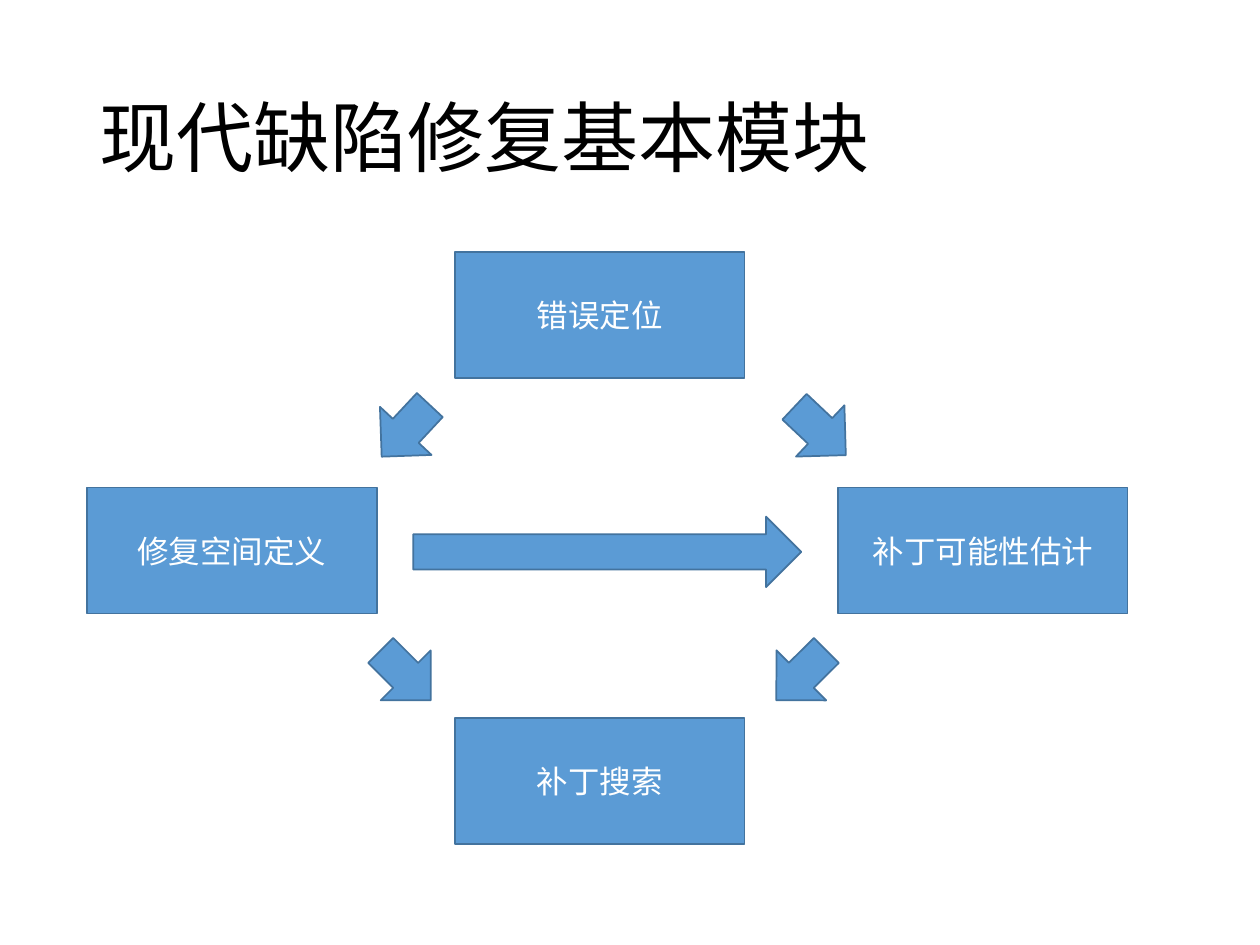
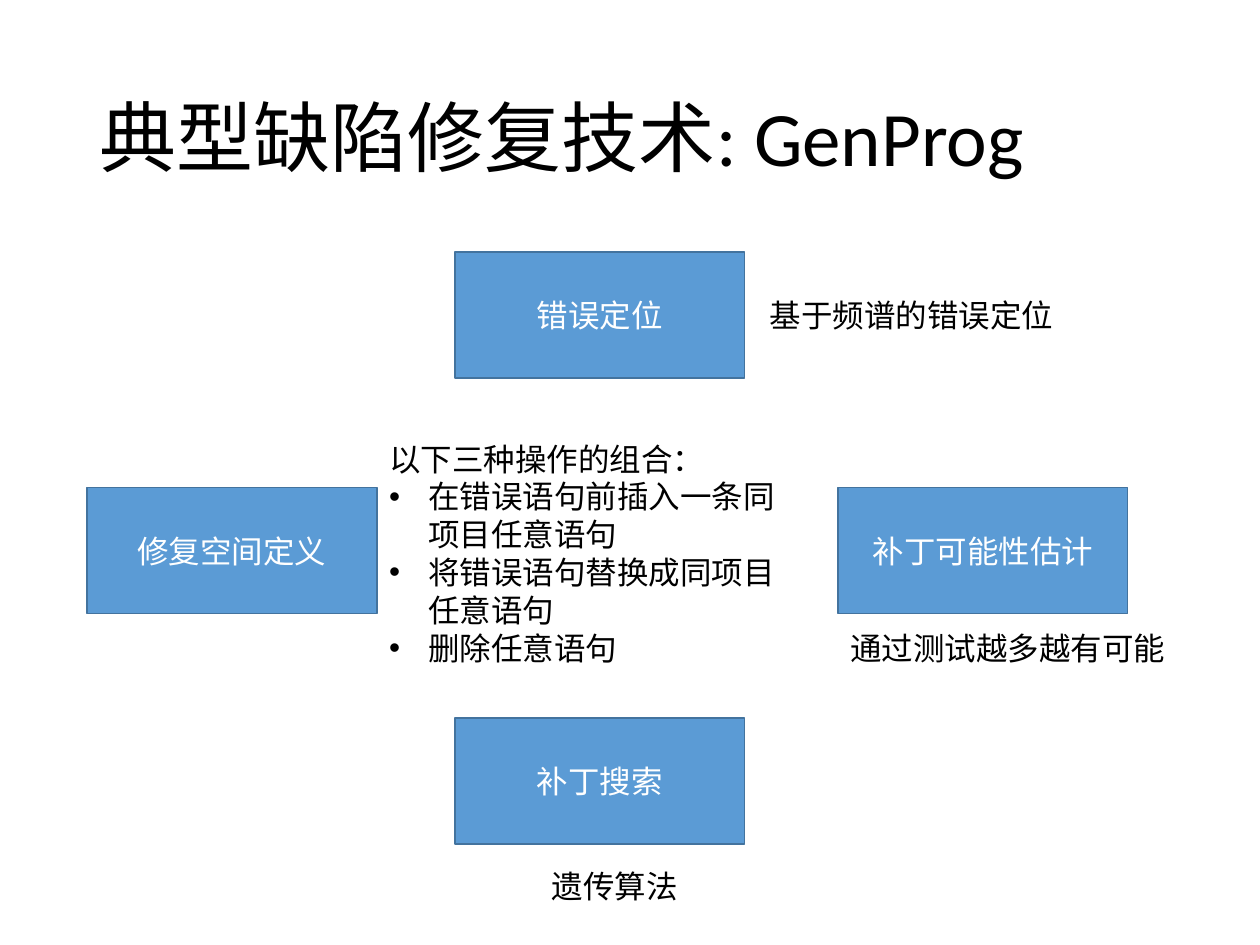
"""Build two slides on the modules of modern defect repair."""
import pptx
import pptx.dml.color
import pptx.enum.shapes
import pptx.enum.text
import pptx.oxml.ns
import pptx.util
from lxml import etree

Inches = pptx.util.Inches
Align = pptx.enum.text.PP_ALIGN
Anchor = pptx.enum.text.MSO_ANCHOR
Fit = pptx.enum.text.MSO_AUTO_SIZE
Kind = pptx.enum.shapes.MSO_SHAPE

FONT = "Calibri"
BLUE, EDGE, WHITE, BLACK = "5B9BD5", "43739E", "FFFFFF", "000000"
BOX_W, BOX_H = 2.3, 1
LEFT, MID, RIGHT = 0.69, 3.61, 6.65
TOP, ROW, LOW = 2, 3.87, 5.7
SIDE = 0.56
INDENT = 0.31

STEPS = [
    ("错误定位", MID, TOP),
    ("修复空间定义", LEFT, ROW),
    ("补丁可能性估计", RIGHT, ROW),
    ("补丁搜索", MID, LOW),
]
ARROWS = [
    (2.94, 3.14, SIDE, 43),
    (6.23, 3.14, SIDE, 313.3),
    (4.54, 2.84, 3.08, 270),
    (6.08, 5.08, SIDE, 45.2),
    (2.94, 5.08, SIDE, 315),
]
NOTES = [
    ("基于频谱的错误定位", 6.01, 2.3, 2.47),
    ("通过测试越多越有可能", RIGHT, 4.94, 2.73),
    ("遗传算法", 4.28, 6.83, 1.21),
]
EDITS = [
    "在错误语句前插入一条同项目任意语句",
    "将错误语句替换成同项目任意语句",
    "删除任意语句",
]


def color(code):
    return pptx.dml.color.RGBColor.from_string(code)


def write(para, text, size=18, tone=BLACK):
    run = para.add_run()
    run.text = text
    run.font.name = FONT
    run.font.size = pptx.util.Pt(size)
    run.font.color.rgb = color(tone)


def add_slide(deck, text):
    slide = deck.slides.add_slide(deck.slide_layouts[5])
    title = slide.shapes.title
    title.left, title.top = Inches(LEFT), Inches(0.4)
    title.width, title.height = Inches(7.55), Inches(1.45)
    frame = title.text_frame
    frame.auto_size = Fit.NONE
    frame.word_wrap = True
    frame.vertical_anchor = Anchor.MIDDLE
    para = frame.paragraphs[0]
    para.alignment = Align.LEFT
    para.line_spacing = 0.9
    write(para, text, 44)
    return slide


def add_solid(slide, kind, x, y, w, h):
    shape = slide.shapes.add_shape(kind, Inches(x), Inches(y), Inches(w), Inches(h))
    shape.shadow.inherit = False
    shape.fill.solid()
    shape.fill.fore_color.rgb = color(BLUE)
    shape.line.color.rgb = color(EDGE)
    shape.line.width = pptx.util.Pt(1)
    return shape


def add_steps(slide):
    for text, x, y in STEPS:
        frame = add_solid(slide, Kind.RECTANGLE, x, y, BOX_W, BOX_H).text_frame
        frame.word_wrap = True
        frame.vertical_anchor = Anchor.MIDDLE
        para = frame.paragraphs[0]
        para.alignment = Align.CENTER
        write(para, text, tone=WHITE)


def add_arrow(slide, x, y, length, turn):
    arrow = add_solid(slide, Kind.DOWN_ARROW, x, y, SIDE, length)
    arrow.rotation = turn


def add_note(slide, text, x, y, w, h=0.4, wrap=False):
    box = slide.shapes.add_textbox(Inches(x), Inches(y), Inches(w), Inches(h))
    frame = box.text_frame
    frame.word_wrap = wrap
    frame.auto_size = Fit.SHAPE_TO_FIT_TEXT
    write(frame.paragraphs[0], text)
    return frame


def add_bullet(frame, text):
    para = frame.add_paragraph()
    props = para._p.get_or_add_pPr()
    props.set("marL", str(Inches(INDENT)))
    props.set("indent", str(-Inches(INDENT)))
    qn = pptx.oxml.ns.qn
    etree.SubElement(props, qn("a:buFont")).set("typeface", "Arial")
    etree.SubElement(props, qn("a:buChar")).set("char", "•")
    write(para, text)


def main():
    deck = pptx.Presentation()
    deck.slide_width, deck.slide_height = Inches(10), Inches(7.5)

    flow = add_slide(deck, "现代缺陷修复基本模块")
    add_steps(flow)
    for arrow in ARROWS:
        add_arrow(flow, *arrow)

    case = add_slide(deck, "典型缺陷修复技术: GenProg")
    add_steps(case)
    for note in NOTES:
        add_note(case, *note)
    frame = add_note(case, "以下三种操作的组合：", 2.99, 3.44, 3.28, 2.52, True)
    for edit in EDITS:
        add_bullet(frame, edit)

    deck.save("out.pptx")


if __name__ == "__main__":
    main()
